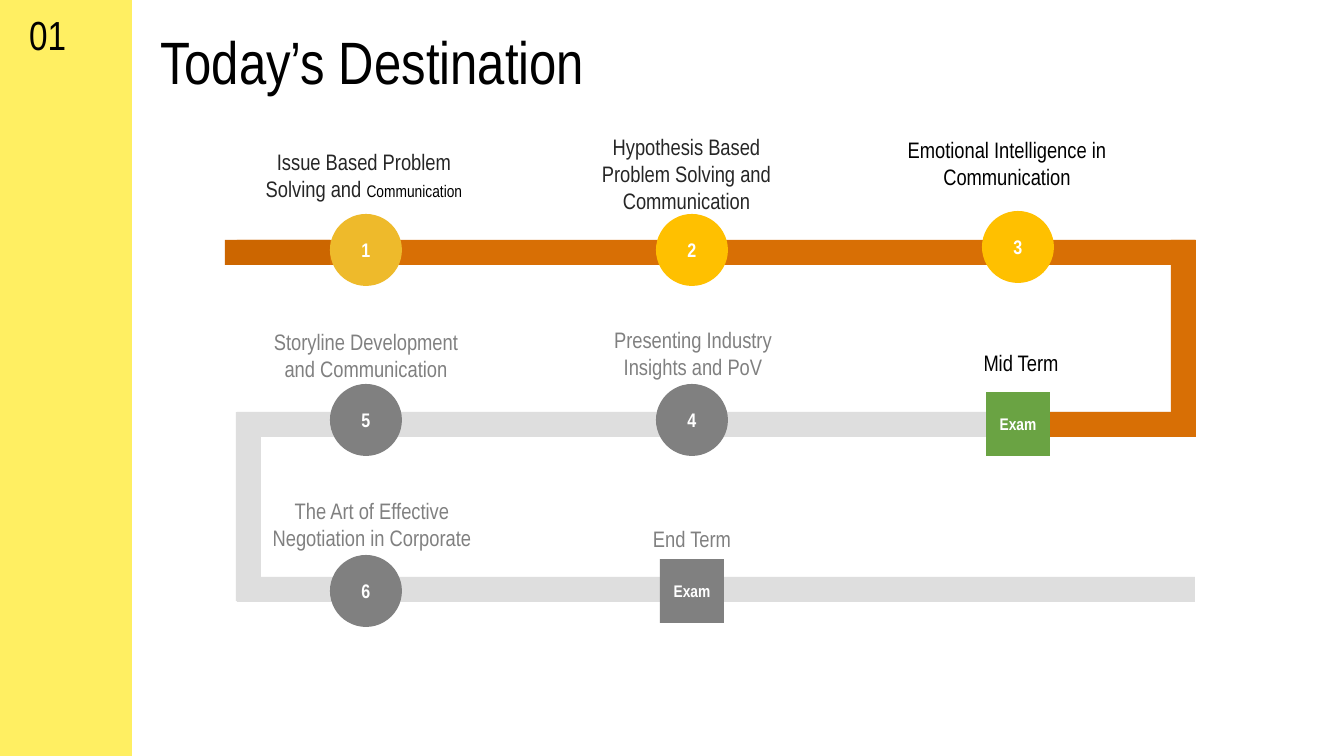
from pptx import Presentation
from pptx.dml.color import RGBColor
from pptx.enum.shapes import MSO_SHAPE
from pptx.enum.text import MSO_ANCHOR, PP_ALIGN
from pptx.util import Emu, Pt

SLIDE_WIDTH, SLIDE_HEIGHT = 1344, 756
FONT = "Arial Narrow"
BLACK, DARK, GREY, WHITE = "000000", "262626", "808080", "FFFFFF"
ORANGE, RUST, PALE, GREEN = "D86F05", "CC6600", "DEDEDE", "6AA343"
GOLD, AMBER, YELLOW = "EEBA2B", "FFC000", "FFEF62"

COLUMN_STEP, BAR, CIRCLE, SQUARE = 326, 25, 72, 64
ROAD_BOX = (225, 240, 970, 361)
ROADS = [
    (12, 0, 958, BAR, ORANGE),
    (12, 172, 958, BAR, PALE),
    (12, 337, 958, BAR, PALE),
    (946, 0, BAR, 197, ORANGE),
    (11, 172, BAR, 189, PALE),
    (0, 0, 105, BAR, RUST),
    (824, 172, 133, BAR, ORANGE),
]
STOPS = [
    ("1", 0, 250, GOLD), ("2", 1, 250, AMBER), ("3", 2, 247, AMBER),
    ("Exam", 2, 424, GREEN), ("4", 1, 420, GREY), ("5", 0, 420, GREY),
    ("6", 0, 591, GREY), ("Exam", 1, 591, GREY),
]
LABELS = [
    (239, 138, 250, 95, "Issue Based Problem Solving and Communication", DARK),
    (568, 123, 237, 95, "Hypothesis Based Problem Solving and Communication", DARK),
    (894, 126, 226, 95, "Emotional Intelligence in Communication", BLACK),
    (253, 318, 226, 69, "Storyline Development and Communication", GREY),
    (580, 316, 226, 84, "Presenting Industry\nInsights and PoV", GREY),
    (908, 339, 226, 50, "Mid Term", BLACK),
    (259, 487, 226, 95, "The Art of Effective Negotiation in Corporate", GREY),
    (579, 515, 226, 50, "End Term", GREY),
]


def px(length):
    """Turn a length in px into EMU."""
    return Emu(round(length * 12192000 / SLIDE_WIDTH))


def color(value):
    """Turn a hex string into a colour."""
    return RGBColor.from_string(value)


def write(shape, text, size, ink, align=PP_ALIGN.LEFT, bold=False, inset=10):
    """Fill a shape with text in one style."""
    frame = shape.text_frame
    frame.word_wrap = True
    frame.margin_left = frame.margin_right = px(inset)
    frame.margin_top = frame.margin_bottom = px(inset)
    frame.text = text
    for paragraph in frame.paragraphs:
        paragraph.alignment = align
        for run in paragraph.runs:
            run.font.name, run.font.size, run.font.bold = FONT, Pt(size), bold
            run.font.color.rgb = color(ink)
    return frame


def add_block(slide, kind, left, top, width, height, fill):
    """Add a plain filled shape."""
    shape = slide.shapes.add_shape(kind, px(left), px(top), px(width), px(height))
    shape.shadow.inherit = False
    shape.fill.solid()
    shape.fill.fore_color.rgb = color(fill)
    shape.line.fill.background()
    return shape


def add_text(slide, left, top, width, height, *style):
    """Add a wrapped text box."""
    box = slide.shapes.add_textbox(px(left), px(top), px(width), px(height))
    return write(box, *style)


def add_sidebar(slide, left, top, width, height):
    """Add the yellow band with the section number."""
    add_block(slide, MSO_SHAPE.RECTANGLE, left, top, width, height, YELLOW)
    add_text(slide, left + 19, top, width - 38, 74, "01", 29, BLACK)


def add_title(slide, left, top, width, height):
    """Place and format the title placeholder."""
    title = slide.shapes.title
    title.left, title.top, title.width, title.height = map(px, (left, top, width, height))
    frame = write(title, "Today’s Destination", 42.7, BLACK)
    frame.margin_top = frame.margin_bottom = px(5)
    frame.vertical_anchor = MSO_ANCHOR.BOTTOM


def add_road(slide, left, top, width, height):
    """Add the winding road inside its box."""
    for x, y, length, thickness, fill in ROADS:
        add_block(slide, MSO_SHAPE.RECTANGLE, left + x, top + y, length, thickness, fill)


def add_stops(slide, first_center):
    """Add round sessions and square exams along the road."""
    for text, column, middle, fill in STOPS:
        exam = text == "Exam"
        kind = MSO_SHAPE.RECTANGLE if exam else MSO_SHAPE.OVAL
        side = SQUARE if exam else CIRCLE
        center = first_center + column * COLUMN_STEP
        stop = add_block(slide, kind, center - side / 2, middle - side / 2, side, side, fill)
        frame = write(stop, text, 12 if exam else 14, WHITE, PP_ALIGN.CENTER, True, 0)
        frame.vertical_anchor = MSO_ANCHOR.MIDDLE


def add_labels(slide):
    """Add the topic above each stop."""
    for left, top, width, height, text, ink in LABELS:
        frame = add_text(slide, left, top, width, height, text, 16, ink, PP_ALIGN.CENTER)
        if text.startswith("Issue"):
            first = frame.paragraphs[0]
            first.runs[0].text = text.removesuffix("Communication")
            small = first.add_run()
            small.text = "Communication"
            small.font.name, small.font.size = FONT, Pt(12)
            small.font.color.rgb = color(BLACK)


def main():
    """Build and save the slide."""
    presentation = Presentation()
    presentation.slide_width, presentation.slide_height = px(SLIDE_WIDTH), px(SLIDE_HEIGHT)
    slide = presentation.slides.add_slide(presentation.slide_layouts[5])
    add_sidebar(slide, 0, 0, 132, SLIDE_HEIGHT)
    add_title(slide, 150, 18, 897, 83)
    add_road(slide, *ROAD_BOX)
    add_stops(slide, 366)
    add_labels(slide)
    presentation.save("out.pptx")


if __name__ == "__main__":
    main()
